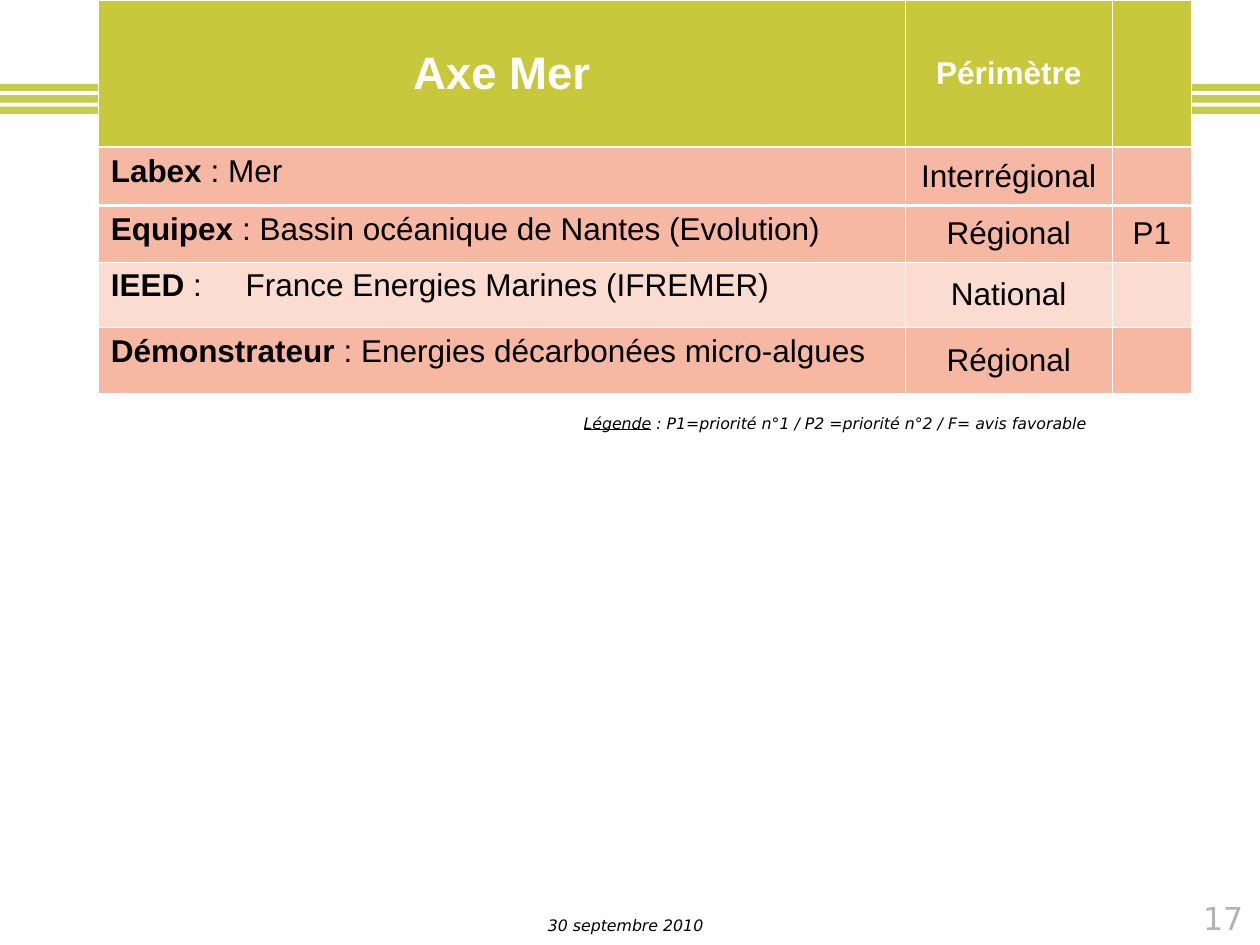
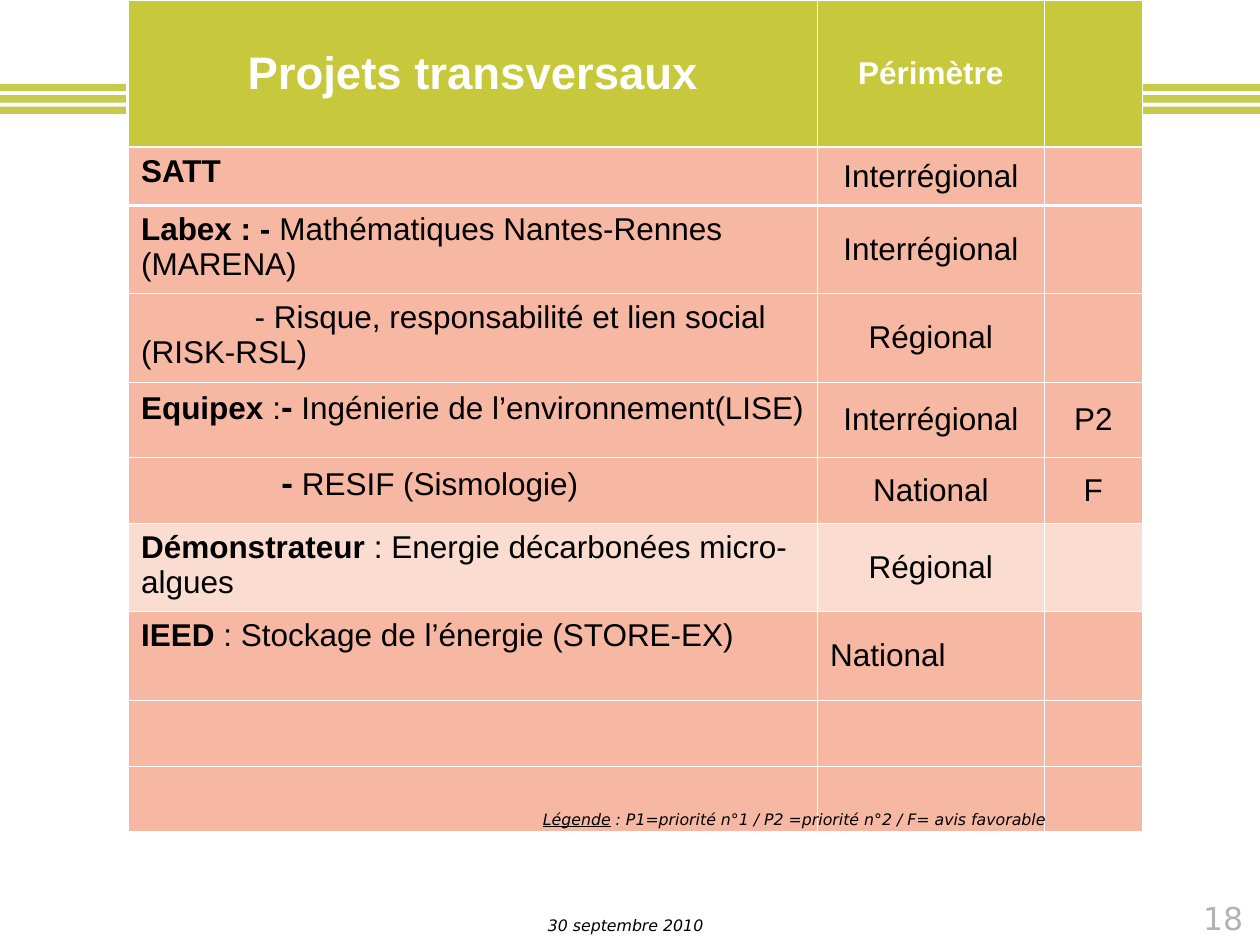
"""Build two slides of regional project tables."""
from dataclasses import dataclass
from typing import NamedTuple

from lxml import etree
from pptx import Presentation
from pptx import util as u
from pptx.dml.color import RGBColor
from pptx.enum import shapes, text
from pptx.oxml import ns

LIME, STRIPE, SALMON, PALE = "C8C83C", "C6CB4C", "F7B8A3", "FBDCD1"
WHITE, BLACK, GREY = "FFFFFF", "000000", "B3B3B3"
SANS, NOTE = "Arial", "DejaVu Sans"
THIN, THICK = 0.45, 1.47
MID, LEFT, RIGHT = text.PP_ALIGN.CENTER, text.PP_ALIGN.LEFT, text.PP_ALIGN.RIGHT


class Run(NamedTuple):
    """Words with their weight, size and underline."""
    words: str
    bold: bool | None = None
    size: float | None = None
    line: bool | None = None


class Font(NamedTuple):
    """Look shared by the runs of a paragraph."""
    name: str
    size: float
    color: str
    bold: bool = False
    slant: bool = False


class Row(NamedTuple):
    """One project line of a table."""
    label: tuple[Run, ...] = ()
    scope: str = ""
    rank: str = ""
    fill: str = SALMON
    indent: float = 0
    tab: float = 0
    align: text.PP_ALIGN = MID


@dataclass
class Page:
    """Content of one slide, lengths in centimetres."""
    number: int
    title: str
    left: float
    cols: tuple[float, ...]
    tall: tuple[float, ...]
    rows: tuple[Row, ...]
    key: tuple[float, float]


BODY = Font(SANS, 18, BLACK)
TITLE = Font(SANS, 26, WHITE, bold=True)
HEAD = Font(SANS, 18, WHITE, bold=True)
SMALL = Font(NOTE, 9, BLACK, slant=True)
COUNT = Font(NOTE, 18, GREY)
LEGEND = (Run("Légende", line=True),
          Run(" : P1=priorité n°1 / P2 =priorité n°2 / F= avis favorable"))
DASH = Run("-", True, 20)


def pair(head: str, rest: str) -> tuple[Run, ...]:
    """Return a bold head followed by plain words."""
    return Run(head, True), Run(rest)


PAGES = (
    Page(17, "Axe Mer", 1.98, (16.27, 4.17, 1.6), (2.97, 1.17, 1.14, 1.33, 1.33), (
        Row(pair("Labex ", ": Mer"), "Interrégional"),
        Row(pair("Equipex", " : Bassin océanique de Nantes (Evolution)"), "Régional", "P1"),
        Row(pair("IEED ", ":\tFrance Energies Marines (IFREMER)"), "National",
            fill=PALE, tab=2.72),
        Row(pair("Démonstrateur ", ": Energies décarbonées micro-algues"), "Régional"),
    ), (9.53, 8.13)),
    Page(18, "Projets transversaux", 2.59, (13.89, 4.57, 1.98),
         (2.97, 1.17, 1.78, 1.78, 1.52, 1.33, 1.78, 1.78, 1.33, 1.32), (
        Row((Run("SATT", True),), "Interrégional"),
        Row(pair("Labex : - ", "Mathématiques Nantes-Rennes (MARENA)"), "Interrégional"),
        Row((Run("- Risque, responsabilité et lien social (RISK-RSL)"),), "Régional",
            indent=2.29),
        Row((*pair("Equipex ", ":"), DASH, Run(" Ingénierie de l’environnement(LISE)")),
            "Interrégional", "P2"),
        Row((DASH, Run(" RESIF (Sismologie)")), "National", "F", indent=2.83),
        Row(pair("Démonstrateur ", ": Energie décarbonées micro-algues"), "Régional",
            fill=PALE),
        Row(pair("IEED", " : Stockage de l’énergie (STORE-EX)"), "National", align=LEFT),
        Row(),
        Row(),
    ), (8.71, 16.13)),
)


def tint(code: str) -> RGBColor:
    """Turn a hex string into a colour."""
    return RGBColor.from_string(code)


def write(para, runs: tuple[Run, ...], font: Font, align: text.PP_ALIGN,
          indent: float = 0, tab: float = 0) -> None:
    """Fill a paragraph with runs in one font."""
    para.alignment = align
    props = para._p.get_or_add_pPr()
    if indent:
        props.set("marL", "0")
        props.set("indent", str(u.Cm(indent)))
    if tab:
        stops = etree.SubElement(props, ns.qn("a:tabLst"))
        etree.SubElement(stops, ns.qn("a:tab"), pos=str(u.Cm(tab)), algn="l")
    look = para.font
    look.name, look.size = font.name, u.Pt(font.size)
    look.bold, look.italic = font.bold, font.slant
    look.color.rgb = tint(font.color)
    for item in runs:
        run = para.add_run()
        run.text = item.words
        run.font.bold, run.font.underline = item.bold, item.line
        if item.size:
            run.font.size = u.Pt(item.size)


def label(slide, box: tuple[float, ...], runs: tuple[Run, ...], font: Font,
          align: text.PP_ALIGN = MID) -> None:
    """Add a text box without margins."""
    frame = slide.shapes.add_textbox(*map(u.Cm, box)).text_frame
    frame.word_wrap = True
    frame.vertical_anchor = text.MSO_ANCHOR.MIDDLE
    frame.margin_left = frame.margin_right = frame.margin_top = frame.margin_bottom = 0
    write(frame.paragraphs[0], runs, font, align)


def stripes(slide) -> None:
    """Draw three stripes at each side of the slide."""
    for left in (0, 22.86):
        for step in range(3):
            box = (left, 1.69 + 0.23 * step, 2.54, 0.15)
            bar = slide.shapes.add_shape(shapes.MSO_SHAPE.RECTANGLE, *map(u.Cm, box))
            bar.shadow.inherit = False
            bar.fill.solid()
            bar.fill.fore_color.rgb = tint(STRIPE)
            bar.line.fill.background()


def paint(cell, fill: str, top: float, base: float) -> None:
    """Set the white borders and the fill of a cell."""
    props = cell._tc.get_or_add_tcPr()
    for side, width in (("L", THIN), ("R", THIN), ("T", top), ("B", base)):
        line = etree.SubElement(props, ns.qn(f"a:ln{side}"), w=str(u.Pt(width)))
        solid = etree.SubElement(line, ns.qn("a:solidFill"))
        etree.SubElement(solid, ns.qn("a:srgbClr"), val=WHITE)
    cell.fill.solid()
    cell.fill.fore_color.rgb = tint(fill)


def grid(slide, page: Page) -> None:
    """Draw the project table of a page."""
    size = len(page.tall), len(page.cols)
    box = (page.left, 0, sum(page.cols), sum(page.tall))
    table = slide.shapes.add_table(*size, *map(u.Cm, box)).table
    table.first_row = table.horz_banding = False
    for col, wide in zip(table.columns, page.cols):
        col.width = u.Cm(wide)
    head = Row((Run(page.title),), "Périmètre", fill=LIME)
    for at, (tall, row) in enumerate(zip(page.tall, (head, *page.rows))):
        table.rows[at].height = u.Cm(tall)
        top = THICK if at in (1, 2) else THIN
        base = THICK if at < 2 else THIN
        parts = (row.label, (Run(row.scope),), (Run(row.rank),))
        for col, runs in enumerate(parts):
            cell = table.cell(at, col)
            paint(cell, row.fill, top, base)
            first = col == 0
            if at == 0:
                font, align = (TITLE if first else HEAD), MID
            else:
                font, align = BODY, (LEFT if first else row.align)
            if at == 0 or not first:
                cell.vertical_anchor = text.MSO_ANCHOR.MIDDLE
            shown = tuple(run for run in runs if run.words)
            write(cell.text_frame.paragraphs[0], shown, font, align,
                  row.indent if first else 0, row.tab if first else 0)


def main() -> None:
    """Build and save the slides."""
    deck = Presentation()
    deck.slide_width, deck.slide_height = u.Cm(25.4), u.Cm(19.05)
    for page in PAGES:
        slide = deck.slides.add_slide(deck.slide_layouts[6])
        stripes(slide)
        label(slide, (5.31, 18.26, 14.6, 0.79), (Run("30 septembre 2010"),), SMALL)
        label(slide, (23.06, 18.11, 2, 0.79), (Run(str(page.number)),), COUNT, RIGHT)
        grid(slide, page)
        label(slide, (*page.key, 14.6, 0.79), LEGEND, SMALL)
    deck.save("out.pptx")


if __name__ == "__main__":
    main()
